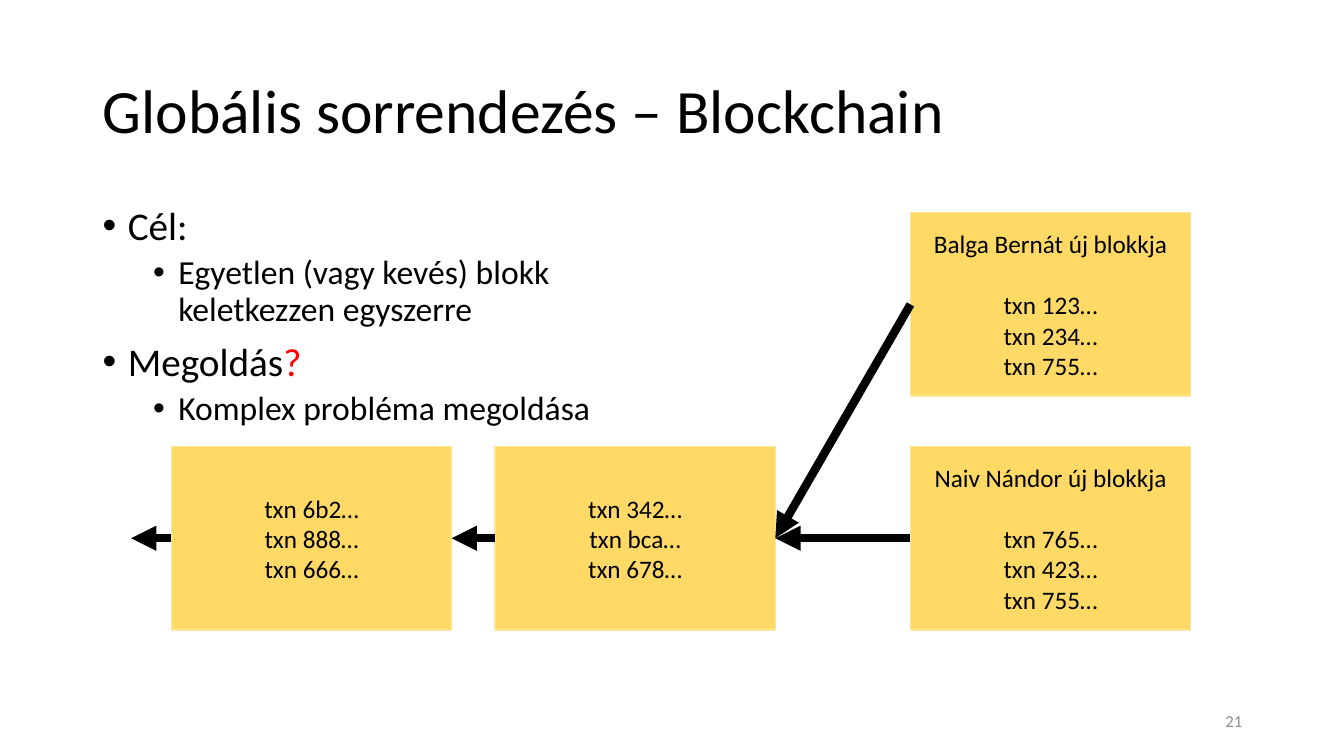
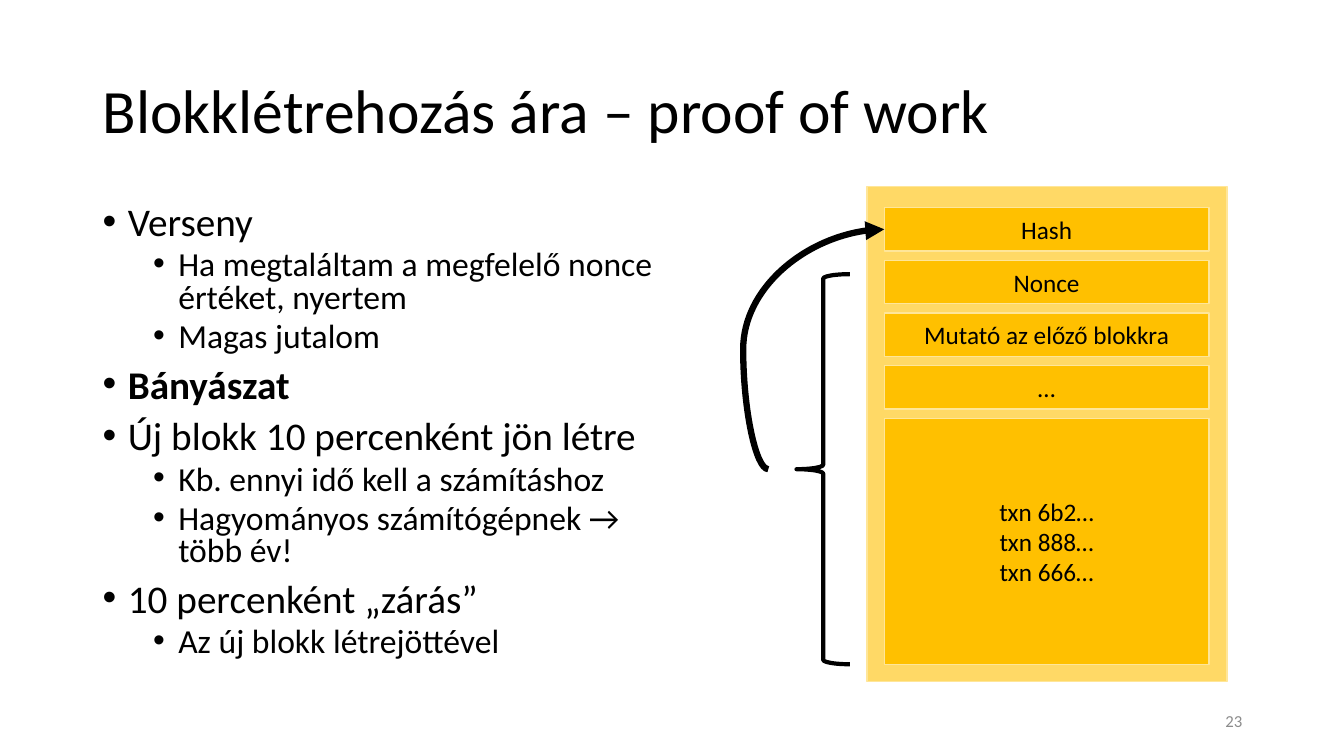
from dataclasses import dataclass

from lxml.etree import SubElement
from pptx import Presentation
from pptx.dml.color import RGBColor
from pptx.enum.shapes import MSO_CONNECTOR, MSO_SHAPE
from pptx.enum.text import MSO_ANCHOR, PP_ALIGN
from pptx.oxml.ns import qn
from pptx.shapes.autoshape import Shape
from pptx.shapes.connector import Connector
from pptx.slide import Slide
from pptx.text.text import Font, TextFrame
from pptx.util import Inches, Pt

FONT = "Calibri"
COLORS = {
    "text": "000000",
    "question": "FF0000",
    "number": "8C8C8C",
    "block": "FFD966",
    "field": "FFC000",
    "border": "FFE699",
}
TOP, LEFT, BOTTOM, RIGHT = range(4)


@dataclass(frozen=True)
class Box:
    left: float
    top: float
    width: float
    height: float

    def lengths(self) -> tuple[int, ...]:
        return tuple(Inches(v) for v in (self.left, self.top, self.width, self.height))


@dataclass(frozen=True)
class Bullet:
    text: str
    level: int = 0
    bold: bool = False
    question: str = ""


TITLE = Box(0.92, 0.4, 11.5, 1.45)
NUMBER = Box(9.42, 6.95, 3, 0.4)

BLOCK_WIDTH, BLOCK_HEIGHT = 2.78, 1.82
CHAIN_TOP, RIVAL_TOP = 4.43, 2.11
CHAIN_END = 1.3

ORDERING_BULLETS = [
    Bullet("Cél:"),
    Bullet("Egyetlen (vagy kevés) blokk keletkezzen egyszerre", 1),
    Bullet("Megoldás", question="?"),
    Bullet("Komplex probléma megoldása", 1),
]
WORK_BULLETS = [
    Bullet("Verseny"),
    Bullet("Ha megtaláltam a megfelelő nonce értéket, nyertem", 1),
    Bullet("Magas jutalom", 1),
    Bullet("Bányászat", bold=True),
    Bullet("Új blokk 10 percenként jön létre"),
    Bullet("Kb. ennyi idő kell a számításhoz", 1),
    Bullet("Hagyományos számítógépnek →\ntöbb év!", 1),
    Bullet("10 percenként „zárás”"),
    Bullet("Az új blokk létrejöttével", 1),
]
HEADER_FIELDS = ["Hash", "Nonce", "Mutató az előző blokkra", "…"]
FIRST_TXNS = "txn 6b2…\ntxn 888…\ntxn 666…"


def rgb(color: str) -> RGBColor:
    return RGBColor.from_string(COLORS[color])


def style_font(font: Font, size: float, color: str = "text") -> None:
    font.name = FONT
    font.size = Pt(size)
    font.color.rgb = rgb(color)


def add_text_frame(slide: Slide, box: Box, anchor: MSO_ANCHOR) -> TextFrame:
    frame = slide.shapes.add_textbox(*box.lengths()).text_frame
    frame.word_wrap = True
    frame.vertical_anchor = anchor
    return frame


def add_base_slide(deck: Presentation, title: str, number: int) -> Slide:
    """Add a blank slide with its title and slide number."""
    slide = deck.slides.add_slide(deck.slide_layouts[6])
    heading = add_text_frame(slide, TITLE, MSO_ANCHOR.MIDDLE).paragraphs[0]
    heading.text = title
    heading.line_spacing = 0.9
    style_font(heading.font, 44)

    footer = add_text_frame(slide, NUMBER, MSO_ANCHOR.MIDDLE).paragraphs[0]
    footer.text = str(number)
    footer.alignment = PP_ALIGN.RIGHT
    style_font(footer.font, 12, "number")
    return slide


def add_bullets(slide: Slide, box: Box, bullets: list[Bullet], spacing: float) -> None:
    frame = add_text_frame(slide, box, MSO_ANCHOR.TOP)
    for index, bullet in enumerate(bullets):
        paragraph = frame.add_paragraph() if index else frame.paragraphs[0]
        paragraph.text = bullet.text
        paragraph.level = bullet.level
        paragraph.line_spacing = spacing
        paragraph.space_before = Pt(5 if bullet.level else 10)
        style_font(paragraph.font, 24 if bullet.level else 28)
        paragraph.font.bold = bullet.bold
        if bullet.question:
            run = paragraph.add_run()
            run.text = bullet.question
            run.font.color.rgb = rgb("question")

        properties = paragraph.font._element.getparent()
        properties.set("marL", str(Inches(0.25 + 0.5 * bullet.level)))
        properties.set("indent", str(Inches(-0.25)))
        for tag, key, value in (("a:buFont", "typeface", "Arial"), ("a:buChar", "char", "•")):
            mark = SubElement(properties, qn(tag))
            mark.set(key, value)
            paragraph.font._element.addprevious(mark)


def add_block(slide: Slide, box: Box, fill: str, *texts: str) -> Shape:
    """Add a filled rectangle; later texts stand one line apart."""
    block = slide.shapes.add_shape(MSO_SHAPE.RECTANGLE, *box.lengths())
    block.shadow.inherit = False
    block.fill.solid()
    block.fill.fore_color.rgb = rgb(fill)
    block.line.color.rgb = rgb("border")
    block.line.width = Pt(1)
    frame = block.text_frame
    frame.word_wrap = True
    frame.vertical_anchor = MSO_ANCHOR.MIDDLE
    for index, text in enumerate(texts):
        paragraph = frame.add_paragraph() if index else frame.paragraphs[0]
        paragraph.text = text
        paragraph.alignment = PP_ALIGN.CENTER
        if index:
            paragraph.space_before = Pt(22)
        style_font(paragraph.font, 18)
    return block


def add_arrow(
    slide: Slide,
    kind: MSO_CONNECTOR,
    start: tuple[float, float],
    end: tuple[float, float],
    width: float,
) -> Connector:
    arrow = slide.shapes.add_connector(kind, *(Inches(v) for v in (*start, *end)))
    arrow.line.color.rgb = rgb("text")
    arrow.line.width = Pt(width)
    SubElement(arrow.line._get_or_add_ln(), qn("a:tailEnd")).set("type", "triangle")
    SubElement(arrow._element.spPr, qn("a:effectLst"))
    return arrow


def build_ordering_slide(deck: Presentation) -> None:
    slide = add_base_slide(deck, "Globális sorrendezés – Blockchain", 21)

    def chain_block(left: float, top: float, *texts: str) -> Shape:
        return add_block(slide, Box(left, top, BLOCK_WIDTH, BLOCK_HEIGHT), "block", *texts)

    rival = chain_block(9.03, RIVAL_TOP, "Balga Bernát új blokkja", "txn 123…\ntxn 234…\ntxn 755…")
    first = chain_block(1.7, CHAIN_TOP, FIRST_TXNS)
    second = chain_block(4.91, CHAIN_TOP, "txn 342…\ntxn bca…\ntxn 678…")
    newest = chain_block(9.03, CHAIN_TOP, "Naiv Nándor új blokkja", "txn 765…\ntxn 423…\ntxn 755…")

    chain_end = (CHAIN_END, CHAIN_TOP + BLOCK_HEIGHT / 2)
    for block, previous in ((rival, second), (newest, second), (second, first), (first, None)):
        arrow = add_arrow(slide, MSO_CONNECTOR.STRAIGHT, chain_end, chain_end, 6)
        arrow.begin_connect(block, LEFT)
        if previous is not None:
            arrow.end_connect(previous, RIGHT)

    add_bullets(slide, Box(0.92, 2, 6.17, 2.91), ORDERING_BULLETS, 0.9)


def build_work_slide(deck: Presentation) -> None:
    slide = add_base_slide(deck, "Blokklétrehozás ára – proof of work", 23)
    add_bullets(slide, Box(0.92, 2, 6.39, 4.76), WORK_BULLETS, 0.8)

    add_block(slide, Box(8.6, 1.85, 3.57, 4.91), "block")
    left, top, width, height = 8.77, 2.06, 3.22, 0.43
    txns = Box(left, 4.15, width, 2.44)
    pitch = (txns.top - top) / len(HEADER_FIELDS)
    add_block(slide, txns, "field", FIRST_TXNS)
    for row, name in enumerate(HEADER_FIELDS):
        add_block(slide, Box(left, top + row * pitch, width, height), "field", name)

    hashed = Box(7.9, 2.72, 0.53, 3.87)
    brace = slide.shapes.add_shape(MSO_SHAPE.LEFT_BRACE, *hashed.lengths())
    brace.shadow.inherit = False
    brace.fill.background()
    brace.line.color.rgb = rgb("text")
    brace.line.width = Pt(3)

    start = (7.62, hashed.top + hashed.height / 2)
    curve = add_arrow(slide, MSO_CONNECTOR.CURVE, start, (left, top + height / 2), 4.5)
    bend = SubElement(curve._element.spPr.prstGeom.get_or_add_avLst(), qn("a:gd"))
    bend.set("name", "adj1")
    bend.set("fmla", "val -21700")


def main() -> None:
    deck = Presentation()
    deck.slide_width, deck.slide_height = Inches(13.33), Inches(7.5)
    build_ordering_slide(deck)
    build_work_slide(deck)
    deck.save("out.pptx")


if __name__ == "__main__":
    main()
